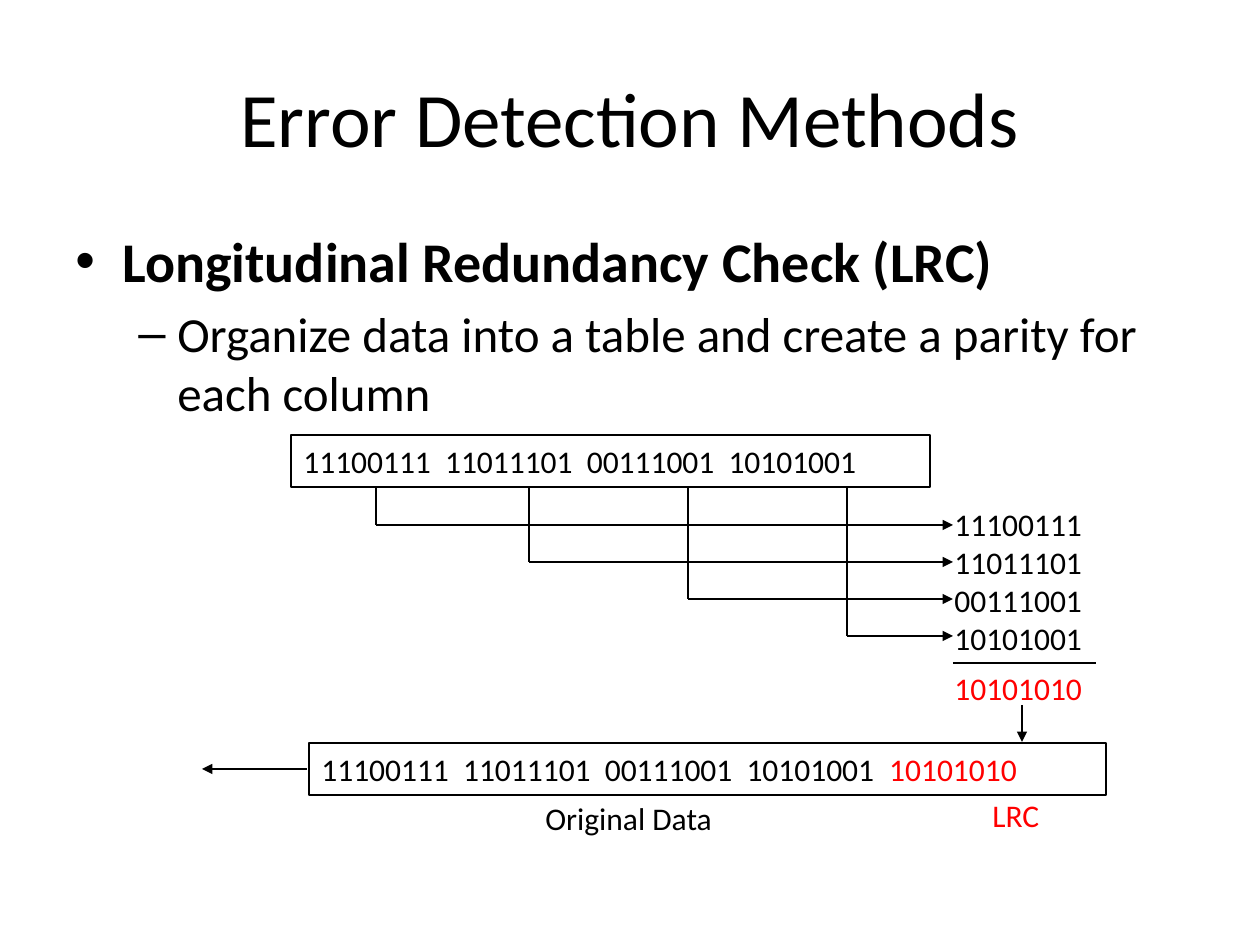
import pptx
import pptx.util
import pptx.dml.color
import pptx.enum.shapes
import pptx.enum.text
import pptx.oxml.ns
from lxml import etree

PX = 914400 / 126
BLACK = pptx.dml.color.RGBColor(0, 0, 0)
RED = pptx.dml.color.RGBColor(255, 0, 0)
FONT = "Calibri"
WORDS = ["11100111", "11011101", "00111001", "10101001"]
PARITY = "10101010"
GAP = "  "


def px(length):
    return pptx.util.Emu(round(length * PX))


def add_child(parent, tag, **attributes):
    return etree.SubElement(parent, pptx.oxml.ns.qn(tag), **attributes)


def style_run(run, size, color=BLACK, bold=False):
    run.font.name = FONT
    run.font.size = pptx.util.Pt(size)
    run.font.bold = bold
    run.font.color.rgb = color


def add_text(slide, box, lines, size=18, color=BLACK):
    label = slide.shapes.add_textbox(*map(px, box))
    frame = label.text_frame
    frame.word_wrap = True
    frame.text = "\n".join(lines)
    for paragraph in frame.paragraphs:
        for run in paragraph.runs:
            style_run(run, size, color)
    return label


def add_title(slide, title):
    heading = add_text(slide, (63, 38, 1134, 157), [title], 44)
    heading.text_frame.vertical_anchor = pptx.enum.text.MSO_ANCHOR.MIDDLE
    heading.text_frame.paragraphs[0].alignment = pptx.enum.text.PP_ALIGN.CENTER


def add_bullets(slide, box, items):
    frame = add_text(slide, box, [item[0] for item in items]).text_frame
    for paragraph, item in zip(frame.paragraphs, items):
        _, level, mark, size, bold, margin, hanging = item
        paragraph.level = level
        paragraph.space_before = pptx.util.Pt(size * 0.2)
        style_run(paragraph.runs[0], size, bold=bold)
        properties = paragraph._p.get_or_add_pPr()
        properties.set("marL", str(px(margin)))
        properties.set("indent", str(px(-hanging)))
        add_child(properties, "a:buFont", typeface="Arial")
        add_child(properties, "a:buChar", char=mark)


def add_data_box(slide, box, parts):
    frame_box = slide.shapes.add_shape(
        pptx.enum.shapes.MSO_SHAPE.RECTANGLE, *map(px, box))
    frame_box.shadow.inherit = False
    frame_box.fill.background()
    frame_box.line.color.rgb = BLACK
    frame_box.line.width = pptx.util.Pt(0.75)
    frame_box.text_frame.word_wrap = True
    paragraph = frame_box.text_frame.paragraphs[0]
    paragraph.alignment = pptx.enum.text.PP_ALIGN.LEFT
    for text, color in parts:
        run = paragraph.add_run()
        run.text = text
        style_run(run, 18, color)


def add_line(slide, start, end, arrow=False):
    line = slide.shapes.add_connector(
        pptx.enum.shapes.MSO_CONNECTOR.STRAIGHT, *map(px, start + end))
    line.line.color.rgb = BLACK
    line.line.width = pptx.util.Pt(0.75)
    if arrow:
        add_child(line.line._get_or_add_ln(), "a:tailEnd", type="triangle")
    add_child(line._element.spPr, "a:effectLst")


def add_word_routes(slide, columns, top, first_row, row_step, right):
    for index, column in enumerate(columns):
        row = first_row + index * row_step
        add_line(slide, (column, top), (column, row))
        add_line(slide, (column, row), (right, row), arrow=True)


def main():
    deck = pptx.Presentation()
    deck.slide_width, deck.slide_height = px(1260), px(945)
    slide = deck.slides.add_slide(deck.slide_layouts[6])

    add_title(slide, "Error Detection Methods")
    add_bullets(slide, (63, 220, 1134, 624), [
        ("Longitudinal Redundancy Check (LRC)", 0, "•", 32, True, 47, 47),
        ("Organize data into a table and create a parity for each column",
         1, "–", 28, False, 102, 39),
    ])

    data = GAP.join(WORDS)
    add_data_box(slide, (291, 435, 639, 52), [(data, BLACK)])
    add_text(slide, (942, 499, 165, 164), WORDS)
    add_word_routes(slide, (376, 529, 688, 847), 488, 525, 37, 953)
    add_line(slide, (953, 663), (1096, 663))
    add_text(slide, (942, 663, 165, 50), [PARITY], color=RED)

    add_line(slide, (1022, 705), (1022, 742), arrow=True)
    add_data_box(slide, (309, 743, 797, 52),
                 [(data + GAP, BLACK), (PARITY, RED)])
    add_line(slide, (307, 769), (202, 769), arrow=True)
    add_text(slide, (533, 793, 209, 50), ["Original Data"])
    add_text(slide, (980, 790, 88, 50), ["LRC"], color=RED)

    deck.save("out.pptx")


if __name__ == "__main__":
    main()
